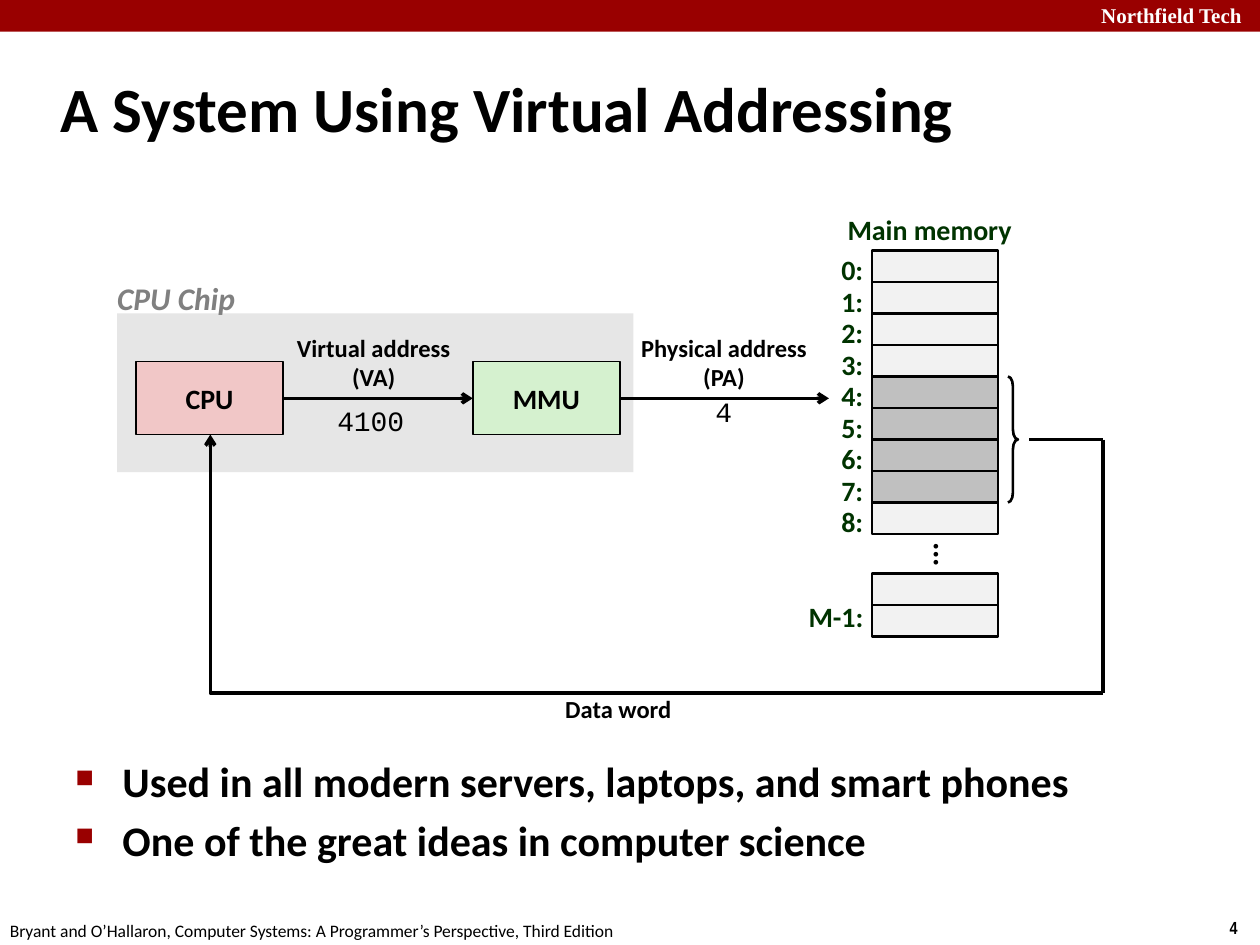
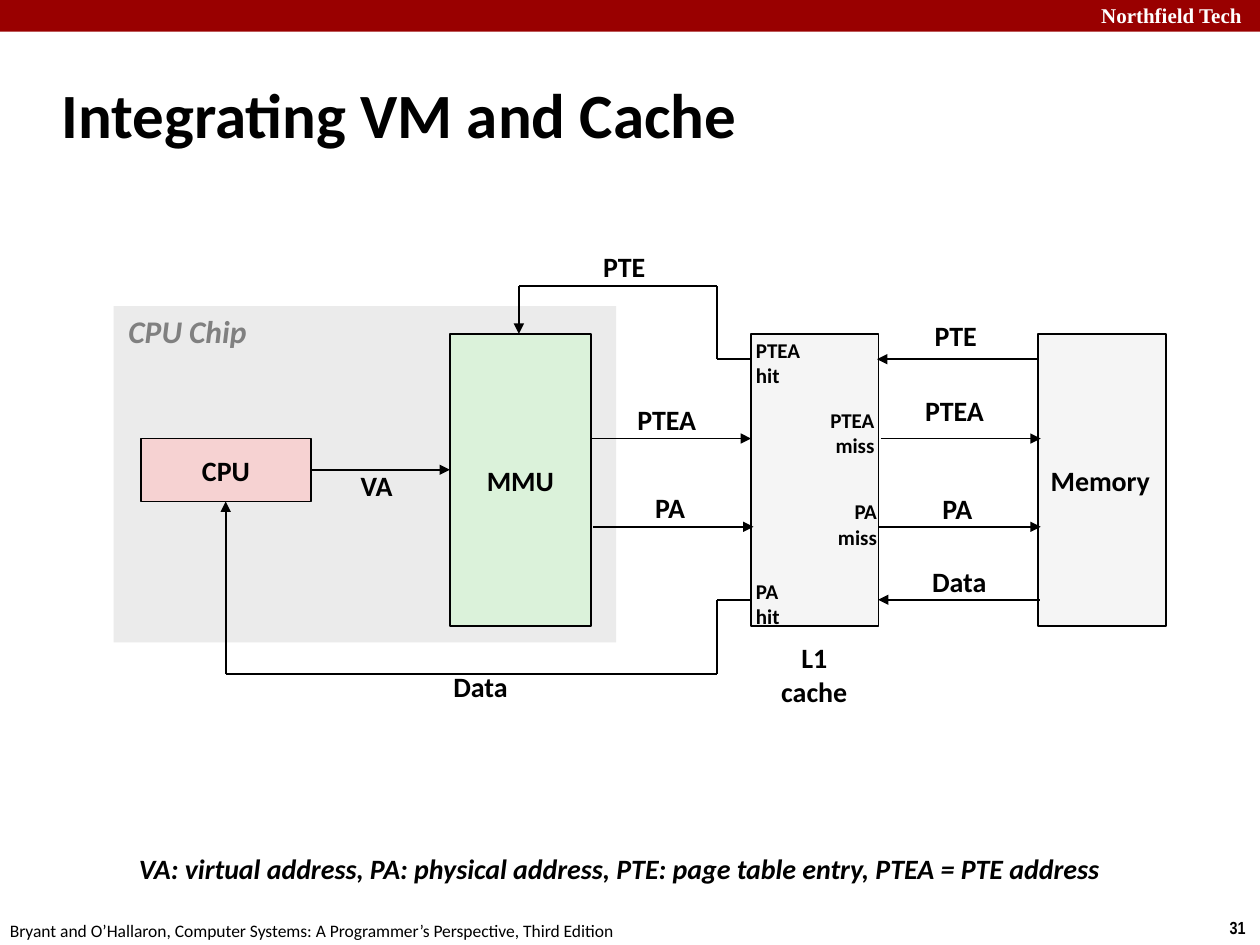
from dataclasses import dataclass, field, replace
from typing import NamedTuple, Optional

from pptx import Presentation
from pptx import util as u
from pptx.dml.color import RGBColor
from pptx.enum import shapes, text
from pptx.oxml import ns, parse_xml

BLACK = RGBColor(0x00, 0x00, 0x00)
WHITE = RGBColor(0xFF, 0xFF, 0xFF)
RED = RGBColor(0x99, 0x00, 0x00)
GREEN = RGBColor(0x00, 0x33, 0x00)
GREY = RGBColor(0x80, 0x80, 0x80)
CELL = RGBColor(0xF2, 0xF2, 0xF2)
CELL_READ = RGBColor(0xC0, 0xC0, 0xC0)
UNIT = RGBColor(0xF5, 0xF5, 0xF5)

LEFT, CENTER, RIGHT = text.PP_ALIGN.LEFT, text.PP_ALIGN.CENTER, text.PP_ALIGN.RIGHT
TOP, MIDDLE = text.MSO_ANCHOR.TOP, text.MSO_ANCHOR.MIDDLE


@dataclass(frozen=True)
class Style:
    size: float = 16
    name: str = "Calibri"
    color: RGBColor = BLACK
    bold: bool = True
    italic: bool = False
    align: text.PP_ALIGN = LEFT
    anchor: text.MSO_ANCHOR = MIDDLE
    inset: tuple = (0.25, 0.13)
    paragraph: dict = field(default_factory=dict)


class Area(NamedTuple):
    left: float
    top: float
    width: float
    height: float

    def lengths(self) -> list:
        return [u.Cm(value) for value in self]


class Label(NamedTuple):
    words: str
    area: Area
    style: Style


class Block(NamedTuple):
    area: Area
    fill: RGBColor
    line: float = 0
    words: str = ""
    align: text.PP_ALIGN = CENTER


class Wire(NamedTuple):
    start: tuple
    end: tuple
    head: Optional[str] = None


# Text styles
TITLE = Style(36)
BRAND = Style(12, "Times New Roman", WHITE, anchor=TOP)
NUMBER = Style(10, "Arial Narrow", anchor=TOP)
FOOTER = Style(10, bold=False, anchor=TOP)
BULLET = Style(24, anchor=TOP, paragraph={"space_before": u.Pt(4.8)})
CHIP = Style(18, color=GREY, italic=True, anchor=TOP)
MEMORY = Style(color=GREEN, anchor=TOP,
               paragraph={"line_spacing": 0.88, "space_before": u.Pt(6)})
CAPTION = Style(14, align=CENTER, paragraph={"line_spacing": 0.98})
DOTS = replace(CAPTION, size=18)
CODE = Style(name="Courier New", bold=False, anchor=TOP)
PLAIN = Style()
TIGHT = Style(anchor=TOP, inset=(0.18, 0.08), paragraph={"line_spacing": 0.85})
SMALL = Style(12)
SMALL_RIGHT = Style(12, align=RIGHT)


def write(frame, words: str, style: Style, wrap: bool = False) -> None:
    across, down = (u.Cm(value) for value in style.inset)
    settings = {"word_wrap": wrap, "auto_size": text.MSO_AUTO_SIZE.NONE,
                "vertical_anchor": style.anchor,
                "margin_left": across, "margin_right": across,
                "margin_top": down, "margin_bottom": down}
    for key, value in settings.items():
        setattr(frame, key, value)
    for index, line in enumerate(words.split("\n")):
        para = frame.paragraphs[0] if index == 0 else frame.add_paragraph()
        for key, value in {"alignment": style.align, **style.paragraph}.items():
            setattr(para, key, value)
        span = para.add_run()
        span.text = line
        font = {"size": u.Pt(style.size), "name": style.name,
                "bold": style.bold, "italic": style.italic}
        for key, value in font.items():
            setattr(span.font, key, value)
        span.font.color.rgb = style.color


def add_label(page, label: Label, wrap: bool = False):
    box = page.shapes.add_textbox(*label.area.lengths())
    write(box.text_frame, label.words, label.style, wrap)
    return box


def add_block(page, block: Block) -> None:
    box = page.shapes.add_shape(shapes.MSO_SHAPE.RECTANGLE, *block.area.lengths())
    box.shadow.inherit = False
    box.fill.solid()
    box.fill.fore_color.rgb = block.fill
    if block.line:
        box.line.color.rgb = BLACK
        box.line.width = u.Pt(block.line)
    else:
        box.line.fill.background()
    if block.words:
        write(box.text_frame, block.words, Style(align=block.align))


def add_wire(page, wire: Wire, width: float, kind=shapes.MSO_CONNECTOR.STRAIGHT):
    ends = [u.Cm(value) for value in (*wire.start, *wire.end)]
    connector = page.shapes.add_connector(kind, *ends)
    connector.line.color.rgb = BLACK
    connector.line.width = u.Pt(width)
    properties = connector._element.spPr
    if wire.head:
        outline = properties.find(ns.qn("a:ln"))
        outline.append(parse_xml(f'<a:tailEnd {ns.nsdecls("a")} type="{wire.head}"/>'))
    properties.append(parse_xml(f'<a:effectLst {ns.nsdecls("a")}/>'))
    return properties


def add_bullets(page, label: Label) -> None:
    box = add_label(page, label, wrap=True)
    for para in box.text_frame.paragraphs:
        properties = para._p.get_or_add_pPr()
        properties.set("marL", str(u.Cm(0.95)))
        properties.set("indent", str(-u.Cm(0.95)))
        for tag in (f'<a:buClr {ns.nsdecls("a")}><a:srgbClr val="{RED}"/></a:buClr>',
                    f'<a:buSzPct {ns.nsdecls("a")} val="60000"/>',
                    f'<a:buChar {ns.nsdecls("a")} char="■"/>'):
            properties.append(parse_xml(tag))


def add_page(deck, title: str, area: Area, number: int):
    """Title, top band and footer that every slide shares."""
    page = deck.slides.add_slide(deck.slide_layouts[5])
    add_block(page, Block(Area(0, 0, 25.4, 0.64), RED))
    for label in (
        Label("Northfield Tech", Area(21.95, -0.08, 3.63, 0.76), BRAND),
        Label(str(number), Area(24.54, 18.36, 0.86, 0.69), NUMBER),
        Label("Bryant and O’Hallaron, Computer Systems: A Programmer’s Perspective, "
              "Third Edition", Area(-0.05, 18.42, 12.9, 0.69), FOOTER),
    ):
        add_label(page, label)
    heading = page.shapes.title
    heading.left, heading.top, heading.width, heading.height = area.lengths()
    write(heading.text_frame, title, TITLE, wrap=True)
    return page


def build_addressing(deck) -> None:
    page = add_page(deck, "A System Using Virtual Addressing",
                    Area(0.97, 1.07, 24.21, 2.18), 4)
    # CPU chip
    for block in (
        Block(Area(2.36, 6.32, 10.41, 3.2), RGBColor(0xE6, 0xE6, 0xE6)),
        Block(Area(2.74, 7.29, 2.97, 1.47), RGBColor(0xF1, 0xC7, 0xC7), 1, "CPU"),
        Block(Area(9.53, 7.29, 2.97, 1.47), RGBColor(0xD5, 0xF1, 0xCF), 1, "MMU"),
    ):
        add_block(page, block)

    # Main memory: nine numbered cells, then the last two
    left, top, width = 17.58, 5.05, 2.54
    row = width / 4
    for index in range(9):
        y = top + index * row
        fill = CELL_READ if 4 <= index <= 7 else CELL
        add_block(page, Block(Area(left, y, width, row), fill, 1.5))
        add_label(page, Label(f"{index}:", Area(16.71, y, 0.94, 0.84), MEMORY))
    for index in range(2):
        add_block(page, Block(Area(left, 11.56 + index * row, width, row), CELL, 1.5))
    dots = add_label(page, Label("...", Area(17.78, 10.8, 2.54, 0.64), DOTS))
    dots.text_frame._txBody.bodyPr.set("vert", "eaVert")

    # Brace around the word that is read
    brace = page.shapes.add_shape(shapes.MSO_SHAPE.RIGHT_BRACE,
                                  *Area(20.32, top + 4 * row, 0.2, 4 * row).lengths())
    brace.adjustments[0] = 1.0
    brace.shadow.inherit = False
    brace.fill.background()
    brace.line.color.rgb = BLACK
    brace.line.width = u.Pt(1.5)

    # Address and data paths
    for wire in (
        Wire((5.72, 8.03), (9.53, 8.03), "arrow"),
        Wire((12.5, 8.03), (16.71, 8.03), "arrow"),
        Wire((20.75, 8.86), (22.23, 8.86)),
        Wire((22.23, 8.86), (22.23, 13.97)),
    ):
        add_wire(page, wire, 2)
    # One-corner elbow, turned round so that it ends at the CPU
    elbow = add_wire(page, Wire((4.24, 8.76), (22.23, 13.97), "arrow"), 2,
                     shapes.MSO_CONNECTOR.ELBOW)
    elbow.find(ns.qn("a:prstGeom")).set("prst", "bentConnector2")
    elbow.find(ns.qn("a:xfrm")).set("rot", str(180 * 60000))

    for label in (
        Label("M-1:", Area(16.05, 12.04, 1.63, 0.84), MEMORY),
        Label("Main memory", Area(16.81, 4.24, 3.86, 0.84),
              replace(MEMORY, align=CENTER)),
        Label("Virtual address\n(VA)", Area(5.72, 6.6, 3.63, 1.45), CAPTION),
        Label("Physical address\n(PA)", Area(12.65, 6.6, 3.89, 1.45), CAPTION),
        Label("Data word", Area(11.13, 13.89, 2.67, 0.84), CAPTION),
        Label("CPU Chip", Area(2.11, 5.49, 2.95, 1.02), CHIP),
        Label("4", Area(14.17, 7.82, 0.86, 0.94), CODE),
        Label("4100", Area(6.55, 8, 1.88, 0.94), CODE),
    ):
        add_label(page, label)
    add_bullets(page, Label("Used in all modern servers, laptops, and smart phones\n"
                            "One of the great ideas in computer science",
                            Area(1.27, 15.11, 23.09, 3.5), BULLET))


def build_cache(deck) -> None:
    page = add_page(deck, "Integrating VM and Cache", Area(0.99, 1.22, 21.08, 2.11), 31)
    # Chip, units and memory
    top, height = 6.73, 5.89
    for block in (
        Block(Area(2.29, 6.17, 10.13, 6.78), RGBColor(0xEB, 0xEB, 0xEB)),
        Block(Area(2.84, 8.84, 3.43, 1.27), RGBColor(0xF6, 0xD2, 0xD2), 1, "CPU"),
        Block(Area(9.07, top, 2.84, height), RGBColor(0xDB, 0xF2, 0xDA), 1, "MMU"),
        Block(Area(15.14, top, 2.57, height), UNIT, 1),
        Block(Area(20.93, top, 2.57, height), UNIT, 1, "Memory", LEFT),
    ):
        add_block(page, block)

    # Paths, named by the heights and columns they share
    entry, entry_address, address, data = 7.24, 8.84, 10.62, 12.09
    upper, lower = 5.77, 13.59
    cpu, mmu, turn, cache = 4.55, 10.46, 14.45, 15.14
    for wire in (
        Wire((6.27, 9.47), (9.07, 9.47), "triangle"),
        Wire((11.91, entry_address), (cache, entry_address), "triangle"),
        Wire((11.96, address), (15.19, address), "triangle"),
        Wire((17.75, entry_address), (20.98, entry_address), "triangle"),
        Wire((17.7, address), (20.98, address), "triangle"),
        Wire((20.93, entry), (17.68, entry), "triangle"),
        Wire((20.96, data), (17.7, data), "triangle"),
        # Hit on a page table entry: back to the MMU
        Wire((cache, entry), (turn, entry)),
        Wire((turn, entry), (turn, upper)),
        Wire((turn, upper), (mmu, upper)),
        Wire((mmu, upper), (mmu, top), "triangle"),
        # Hit on data: back to the CPU
        Wire((cache, data), (turn, data)),
        Wire((turn, data), (turn, lower)),
        Wire((turn, lower), (cpu, lower)),
        Wire((cpu, lower), (cpu, 10.11), "triangle"),
    ):
        add_wire(page, wire, 1)

    for label in (
        Label("CPU Chip", Area(2.34, 6.17, 3.07, 1.02), CHIP),
        Label("VA", Area(7.09, 9.47, 1.07, 0.74), TIGHT),
        Label("PTEA", Area(12.67, 8.13, 1.57, 0.74), TIGHT),
        Label("PA", Area(13.03, 9.91, 0.97, 0.74), TIGHT),
        Label("PTEA", Area(18.47, 7.95, 1.57, 0.74), TIGHT),
        Label("PTE", Area(11.91, 4.9, 1.37, 0.94), PLAIN),
        Label("PTE", Area(18.59, 6.3, 1.37, 0.94), PLAIN),
        Label("PA", Area(18.75, 9.78, 1.12, 0.94), PLAIN),
        Label("Data", Area(18.54, 11.25, 1.63, 0.94), PLAIN),
        Label("Data", Area(8.89, 13.36, 1.63, 0.94), PLAIN),
        Label("PTEA\nhit", Area(14.99, 6.68, 1.4, 1.27), SMALL),
        Label("PA\nhit", Area(14.99, 11.53, 0.99, 1.27), SMALL),
        Label("PTEA\nmiss", Area(16.48, 8.08, 1.4, 1.27), SMALL_RIGHT),
        Label("PA\nmiss", Area(16.61, 9.93, 1.32, 1.27), SMALL_RIGHT),
        Label("L1\ncache", Area(15.49, 12.78, 1.85, 1.63), replace(PLAIN, align=CENTER)),
        Label("VA: virtual address, PA: physical address, PTE: page table entry, "
              "PTEA = PTE address", Area(2.62, 17.2, 20.12, 0.74),
              replace(TIGHT, italic=True)),
    ):
        add_label(page, label)


deck = Presentation()
deck.slide_width, deck.slide_height = u.Cm(25.4), u.Cm(19.05)
build_addressing(deck)
build_cache(deck)
deck.save("out.pptx")
